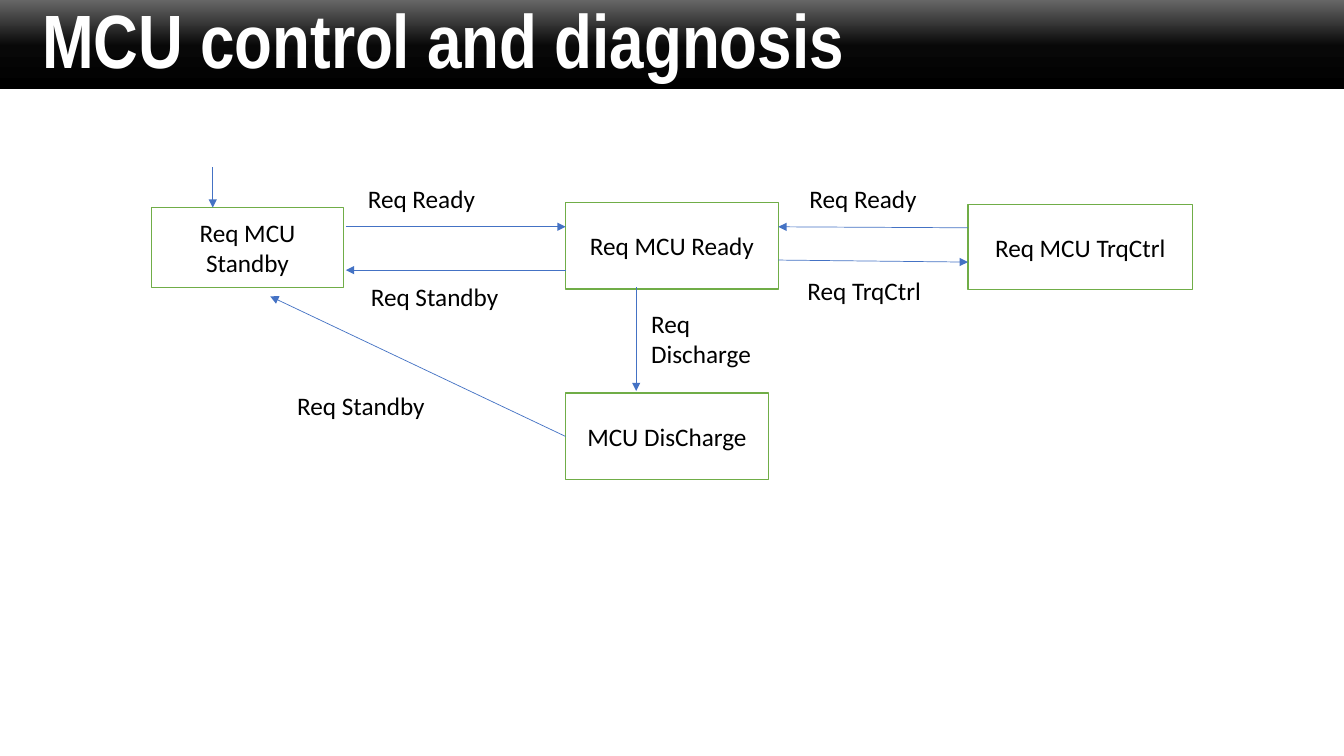
from typing import NamedTuple

from lxml.etree import SubElement
from pptx import Presentation
from pptx.dml.color import RGBColor as RGB
from pptx.enum.shapes import MSO_CONNECTOR as LINK, MSO_SHAPE as SHAPE
from pptx.enum.text import MSO_ANCHOR as ANCHOR, PP_ALIGN as ALIGN
from pptx.oxml.ns import qn
from pptx.util import Emu, Pt

SCALE = 9144  # EMU per px, 100 px to the inch
WIDTH, HEIGHT, BAR = 1333, 750, 88
COLORS = {
    "white": "FFFFFF",
    "black": "000000",
    "dark": "080808",
    "gray": "666666",
    "green": "70AD47",
    "blue": "4472C4",
}


class Box(NamedTuple):
    text: str
    left: int
    top: int
    width: int
    height: int


class Arrow(NamedTuple):
    x1: int
    y1: int
    x2: int
    y2: int


STATES = [
    Box("Req MCU Standby", 150, 206, 191, 79),
    Box("Req MCU Ready", 561, 201, 211, 86),
    Box("MCU DisCharge", 561, 390, 201, 86),
    Box("Req MCU TrqCtrl", 960, 203, 223, 84),
]
LABELS = [
    Box("Req Ready", 355, 177, 150, 40),
    Box("Req Ready", 793, 177, 150, 40),
    Box("Req TrqCtrl", 791, 268, 150, 40),
    Box("Req Standby", 358, 274, 150, 40),
    Box("Req Discharge", 636, 301, 134, 71),
    Box("Req Standby", 285, 382, 150, 40),
]
ARROWS = [
    Arrow(211, 166, 211, 206),
    Arrow(343, 225, 561, 225),
    Arrow(561, 268, 343, 268),
    Arrow(960, 226, 772, 225),
    Arrow(772, 258, 960, 260),
    Arrow(631, 285, 631, 388),
    Arrow(561, 433, 268, 294),
]


def px(*sizes: int) -> list[Emu]:
    return [Emu(size * SCALE) for size in sizes]


def color(name: str) -> RGB:
    return RGB.from_string(COLORS[name])


def write(shape, text: str, size: int = 18, face: str = "Calibri",
          ink: str = "black", bold: bool = False) -> None:
    frame = shape.text_frame
    frame.word_wrap = True
    frame.text = text
    font = frame.paragraphs[0].runs[0].font
    font.size, font.name, font.bold = Pt(size), face, bold
    font.color.rgb = color(ink)


def add_header(slide) -> None:
    bar = slide.shapes.add_shape(SHAPE.RECTANGLE, *px(0, 0, WIDTH, BAR))
    bar.shadow.inherit = False
    bar.line.fill.background()
    bar.fill.gradient()
    bar.fill.gradient_angle = 90
    stops = bar.element.spPr.find(".//" + qn("a:gsLst"))
    stops.clear()
    for share, name in ((0, "black"), (48, "dark"), (100, "gray")):
        stop = SubElement(stops, qn("a:gs"), pos=str(share * 1000))
        SubElement(stop, qn("a:srgbClr"), val=COLORS[name])

    title = slide.shapes.add_textbox(*px(32, 0, 943, BAR))
    write(title, "MCU control and diagnosis", 54, "Arial Narrow", "white", True)
    title.text_frame.vertical_anchor = ANCHOR.MIDDLE
    title.text_frame.paragraphs[0].line_spacing = 0.9


def add_state(slide, box: Box) -> None:
    state = slide.shapes.add_shape(SHAPE.RECTANGLE, *px(*box[1:]))
    state.shadow.inherit = False
    state.fill.solid()
    state.fill.fore_color.rgb = color("white")
    state.line.color.rgb = color("green")
    state.line.width = Pt(1)
    write(state, box.text)
    state.text_frame.vertical_anchor = ANCHOR.MIDDLE
    state.text_frame.paragraphs[0].alignment = ALIGN.CENTER


def add_label(slide, box: Box) -> None:
    write(slide.shapes.add_textbox(*px(*box[1:])), box.text)


def add_arrow(slide, arrow: Arrow) -> None:
    link = slide.shapes.add_connector(LINK.STRAIGHT, *px(*arrow))
    link.line.color.rgb = color("blue")
    link.line.width = Pt(0.5)
    SubElement(link.line._get_or_add_ln(), qn("a:tailEnd"), type="triangle")
    SubElement(link.element.spPr, qn("a:effectLst"))


def main() -> None:
    deck = Presentation()
    deck.slide_width, deck.slide_height = px(WIDTH, HEIGHT)
    slide = deck.slides.add_slide(deck.slide_layouts[6])
    add_header(slide)
    for state in STATES:
        add_state(slide, state)
    for arrow in ARROWS:
        add_arrow(slide, arrow)
    for label in LABELS:
        add_label(slide, label)
    deck.save("out.pptx")


if __name__ == "__main__":
    main()
